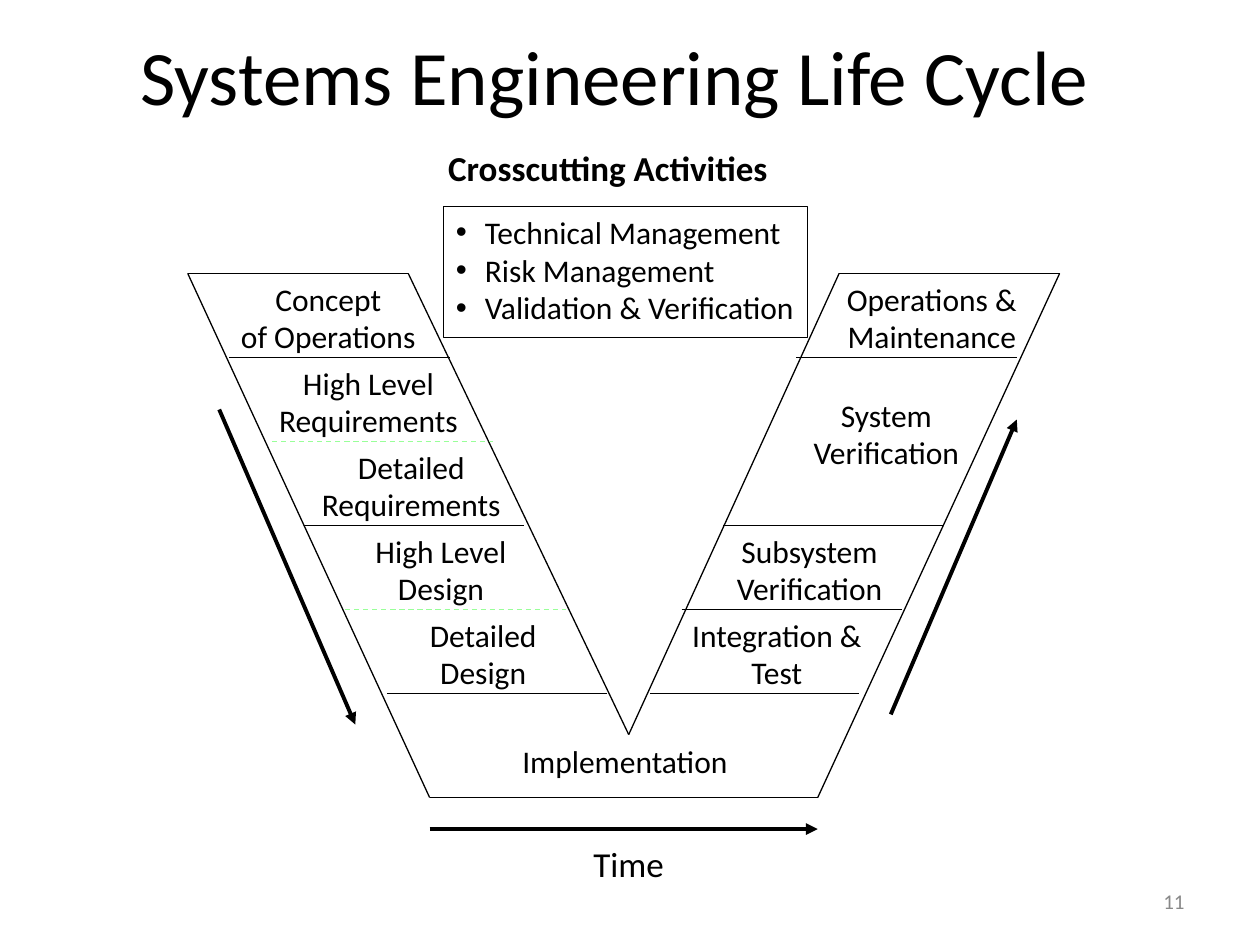
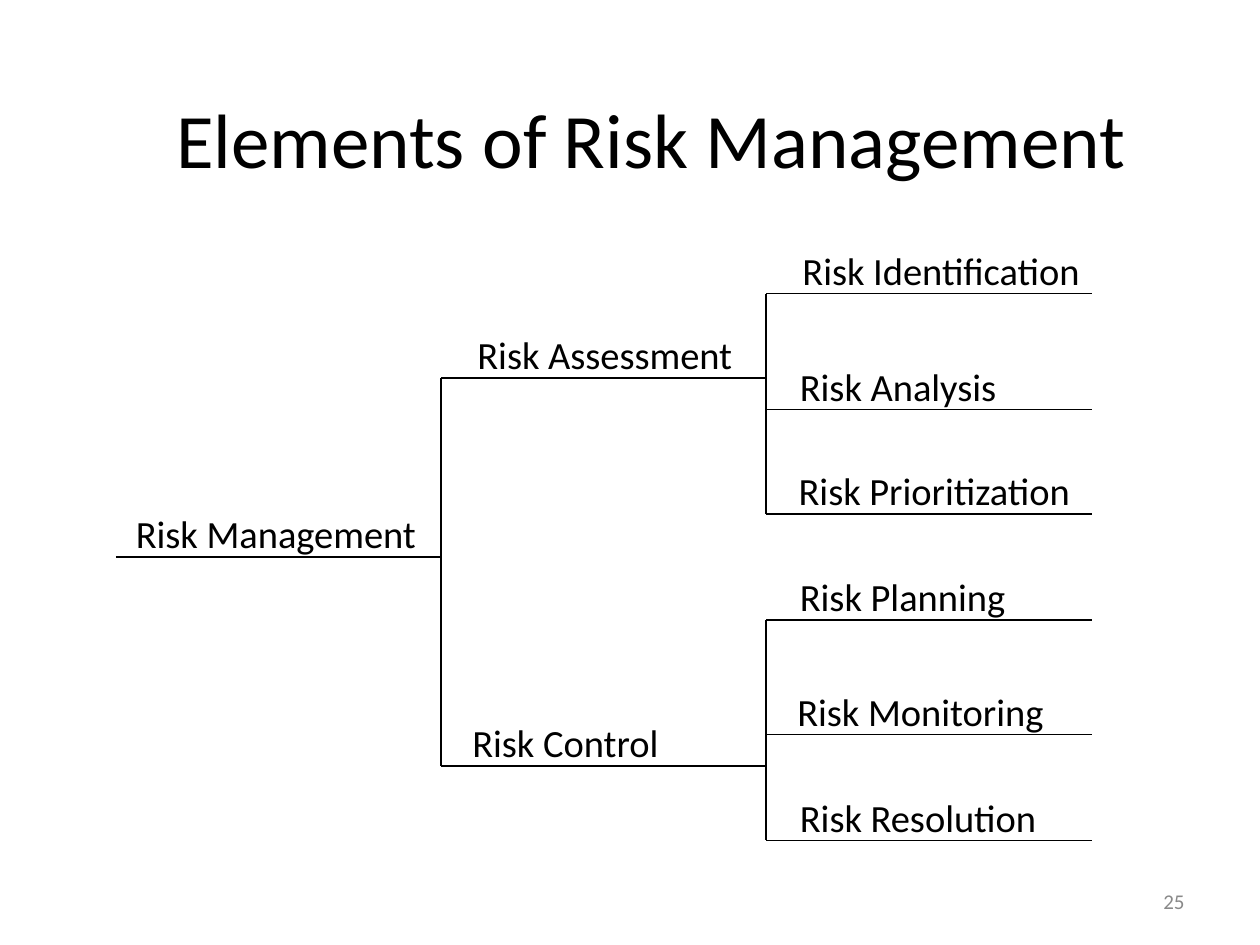
import pptx
import pptx.util
import pptx.dml.color
import pptx.enum.dml
import pptx.enum.shapes
import pptx.enum.text
import pptx.oxml.ns
import lxml.etree

Inches, Pt = pptx.util.Inches, pptx.util.Pt
RGB = pptx.dml.color.RGBColor.from_string
qn = pptx.oxml.ns.qn
ALIGN = pptx.enum.text.PP_ALIGN
ANCHOR = pptx.enum.text.MSO_ANCHOR
COLORS = {"ink": "000000", "paper": "FFFFFF", "number": "898989", "divider": "99FF99"}
FONT = "Calibri"


def add_text(shapes, box, lines, size, align=ALIGN.CENTER, color="ink", bold=False,
             wrap=False, anchor=ANCHOR.TOP, outline=None, bullet_indent=0):
    """Place one paragraph per line; an outline makes the box a rectangle."""
    place = [Inches(v) for v in box]
    if outline:
        sp = shapes.add_shape(pptx.enum.shapes.MSO_SHAPE.RECTANGLE, *place)
        sp.shadow.inherit = False
        sp.fill.background()
        sp.line.color.rgb = RGB(COLORS[outline])
        sp.line.width = Pt(0.75)
    else:
        sp = shapes.add_textbox(*place)
    tf = sp.text_frame
    tf.word_wrap = wrap
    tf.vertical_anchor = anchor
    for i, line in enumerate(lines):
        p = tf.paragraphs[0] if i == 0 else tf.add_paragraph()
        p.alignment = align
        if bullet_indent:
            pPr = p._p.get_or_add_pPr()
            pPr.set("marL", str(Inches(bullet_indent)))
            pPr.set("indent", str(-Inches(bullet_indent)))
            lxml.etree.SubElement(pPr, qn("a:buFont")).set("typeface", "Arial")
            lxml.etree.SubElement(pPr, qn("a:buChar")).set("char", "•")
        r = p.add_run()
        r.text = line
        r.font.name = FONT
        r.font.size = Pt(size)
        r.font.bold = bold
        r.font.color.rgb = RGB(COLORS[color])


def add_line(shapes, x1, y1, x2, y2, color="ink", width=0.75, dashed=False, arrow=False):
    line = shapes.add_connector(pptx.enum.shapes.MSO_CONNECTOR.STRAIGHT,
                                Inches(x1), Inches(y1), Inches(x2), Inches(y2))
    line.line.color.rgb = RGB(COLORS[color])
    line.line.width = Pt(width)
    if dashed:
        line.line.dash_style = pptx.enum.dml.MSO_LINE.DASH
    if arrow:
        lxml.etree.SubElement(line.line._get_or_add_ln(), qn("a:tailEnd")).set("type", "triangle")
    lxml.etree.SubElement(line._element.spPr, qn("a:effectLst"))


prs = pptx.Presentation()
prs.slide_width, prs.slide_height = Inches(10), Inches(7.5)

# Titles and slide numbers
slides = []
for title, title_box, number in [
    ("Systems Engineering Life Cycle", (0.99, 0.17, 7.78, 0.84), "11"),
    ("Elements of Risk Management", (0.67, 0.47, 9, 1.25), "25"),
]:
    s = prs.slides.add_slide(prs.slide_layouts[6])
    add_text(s.shapes, title_box, [title], 44, anchor=ANCHOR.MIDDLE)
    add_text(s.shapes, (7.17, 6.95, 2.33, 0.4), [number], 12, ALIGN.RIGHT, "number",
             wrap=True, anchor=ANCHOR.MIDDLE)
    slides.append(s)

# Life cycle: outline of the V
shapes = slides[0].shapes
TOP, ROW, ARM = 2.17, 2 / 3, 1.75
v_outline = [(1.49, TOP), (3.24, TOP), (4.99, 5.83), (6.66, TOP),
             (8.41, TOP), (6.49, 6.33), (3.41, 6.33)]
for start, end in zip(v_outline, v_outline[1:] + v_outline[:1]):
    add_line(shapes, *start, *end)

# Row dividers: row, left end, length, dashed
for row, left, length, dashed in [
    (1, 1.82, ARM, False), (2, 2.16, ARM, True), (3, 2.41, ARM, False),
    (4, 2.74, ARM, True), (5, 3.07, ARM, False),
    (1, 6.32, ARM, False), (3, 5.74, ARM, False), (4, 5.41, ARM, False), (5, 5.16, 1.66, False),
]:
    y = TOP + row * ROW
    add_line(shapes, left, y, left + length, y, "divider" if dashed else "ink", dashed=dashed)

# Time arrows
for ends in [(1.74, 3.25, 2.82, 5.75), (7.07, 5.67, 8.07, 3.33), (3.41, 6.58, 6.49, 6.58)]:
    add_line(shapes, *ends, width=2.25, arrow=True)
add_text(shapes, (4.61, 6.64, 0.76, 0.44), ["Time"], 20, outline="paper")

# Phases: row, left, width, lines
for row, left, width, lines in [
    (0, 1.81, 1.59, ["Concept", "of Operations"]),
    (1, 2.11, 1.63, ["High Level", "Requirements"]),
    (2, 2.45, 1.63, ["Detailed", "Requirements"]),
    (3, 2.88, 1.24, ["High Level", "Design"]),
    (4, 3.31, 1.05, ["Detailed", "Design"]),
    (5.5, 4.04, 1.84, ["Implementation"]),
    (0, 6.62, 1.55, ["Operations &", "Maintenance"]),
    (1.38, 6.35, 1.37, ["System", "Verification"]),
    (3, 5.74, 1.37, ["Subsystem", "Verification"]),
    (4, 5.39, 1.55, ["Integration &", "Test"]),
]:
    add_text(shapes, (left, TOP + row * ROW, width, 0.1 + 0.3 * len(lines)), lines, 18)

add_text(shapes, (3.2, 1.11, 3.25, 0.44), ["Crosscutting Activities"], 20, bold=True, wrap=True)
add_text(shapes, (3.52, 1.64, 2.89, 1.04),
         ["Technical Management", "Risk Management", "Validation & Verification"], 18,
         ALIGN.LEFT, wrap=True, outline="ink", bullet_indent=0.23)

# Risk tree: each branch is a label on a line
tree = slides[1].shapes.add_group_shape().shapes
LEVELS = [0.92, 3.5, 6.08, 8.67]
for level, y, left, width, label in [
    (0, 4.42, 0.98, 2.43, "Risk Management"),
    (1, 3, 3.69, 2.22, "Risk Assessment"),
    (1, 6.08, 3.65, 1.68, "Risk Control"),
    (2, 2.33, 6.27, 2.41, "Risk Identification"),
    (2, 3.25, 6.25, 1.76, "Risk Analysis"),
    (2, 4.08, 6.24, 2.36, "Risk Prioritization"),
    (2, 4.92, 6.25, 1.83, "Risk Planning"),
    (2, 5.83, 6.23, 2.16, "Risk Monitoring"),
    (2, 6.67, 6.25, 2.08, "Risk Resolution"),
]:
    add_line(tree, LEVELS[level], y, LEVELS[level + 1], y)
    add_text(tree, (left, y - 0.42, width, 0.47), [label], 22, ALIGN.LEFT)

for level, top, bottom in [(1, 3, 6.08), (2, 2.33, 4.08), (2, 4.92, 6.67)]:
    add_line(tree, LEVELS[level], top, LEVELS[level], bottom)

prs.save("out.pptx")
